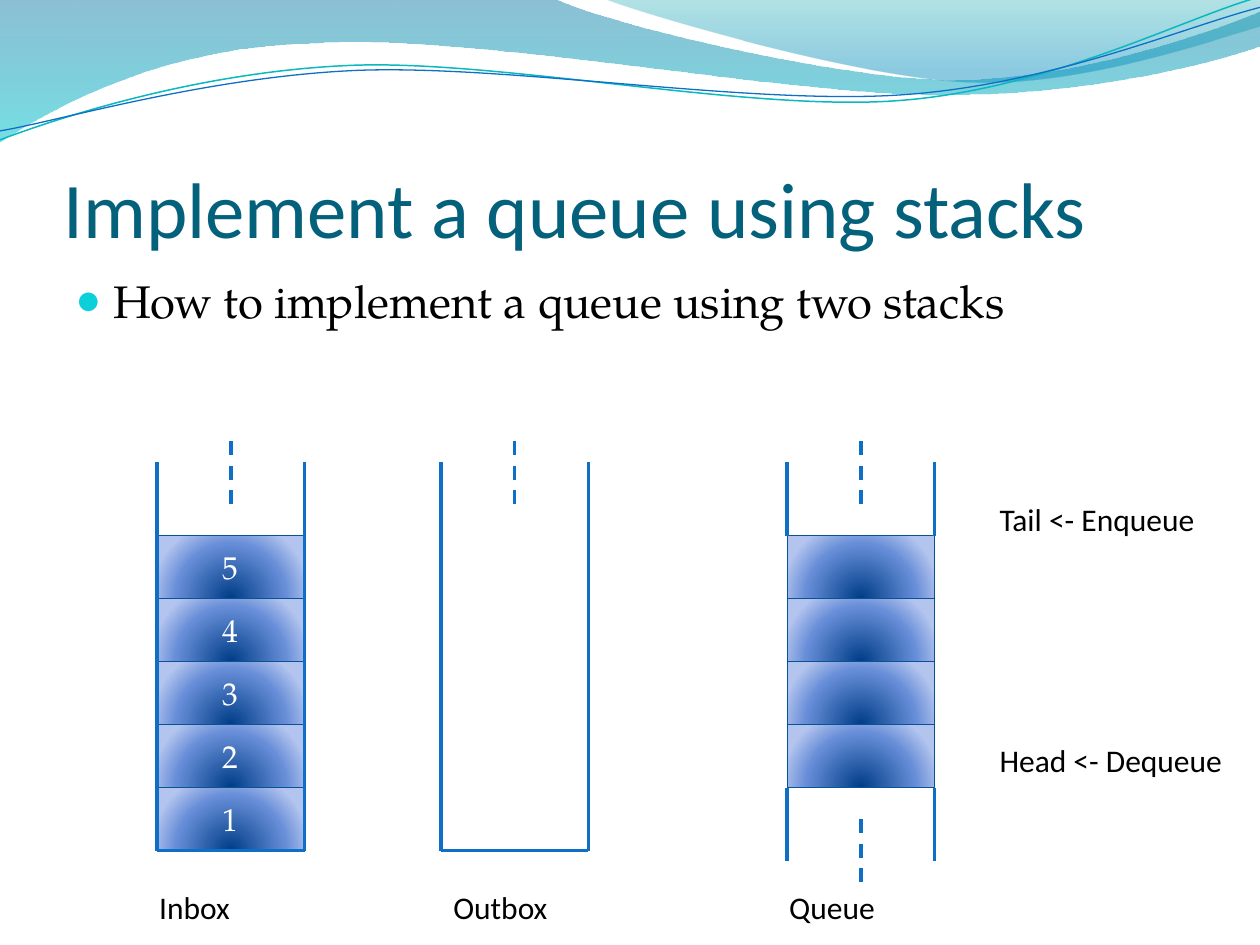
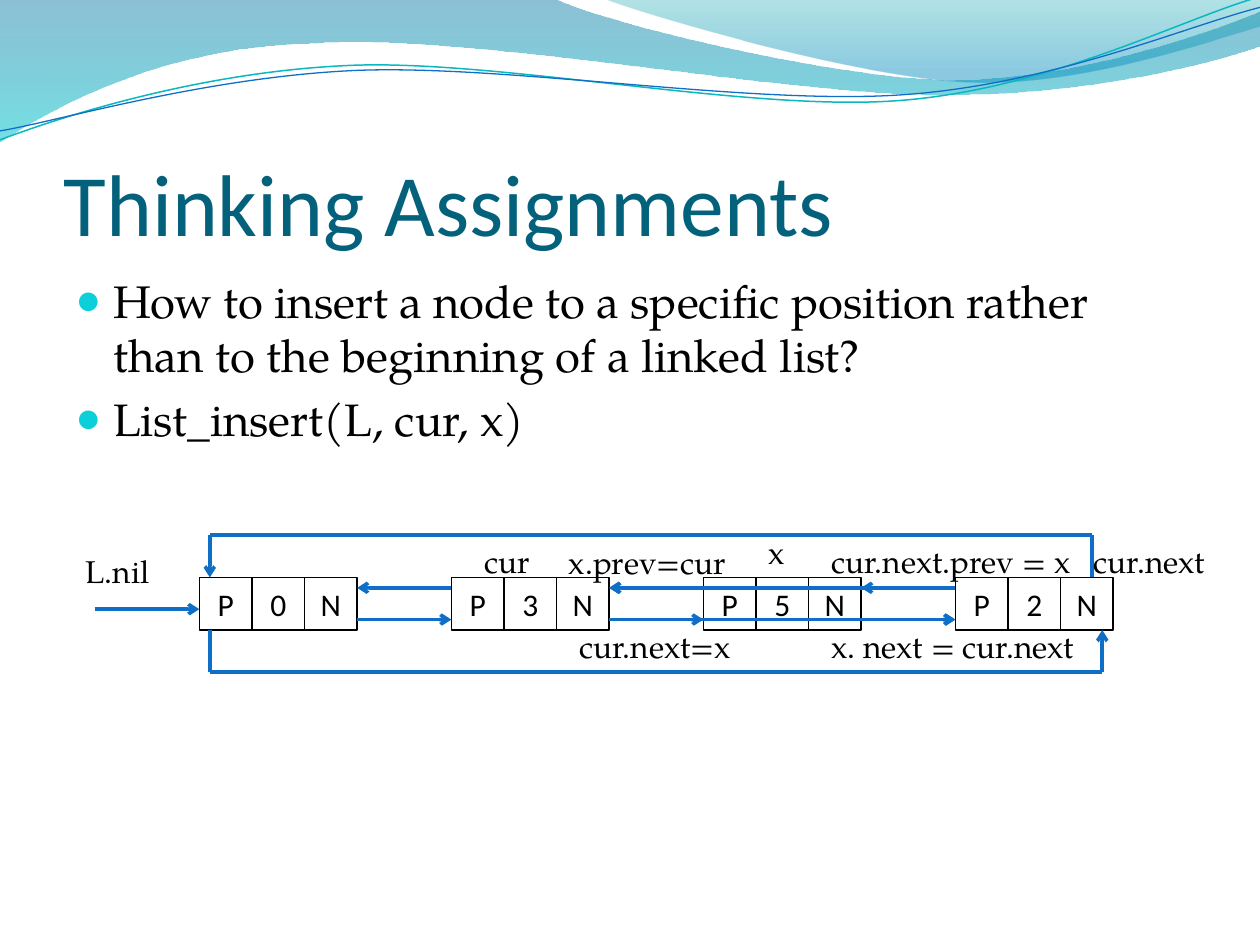
from pptx import Presentation
from pptx.dml.color import RGBColor
from pptx.enum.dml import MSO_LINE
from pptx.enum.shapes import MSO_CONNECTOR, MSO_SHAPE
from pptx.enum.text import MSO_ANCHOR, PP_ALIGN
from pptx.oxml import parse_xml
from pptx.oxml.ns import nsdecls, qn
from pptx.util import Cm, Pt

rgb = RGBColor.from_string
NS = nsdecls("a")
SANS, SERIF = "Calibri", "TeX Gyre Pagella"
BLACK, WHITE, TITLE = "000000", "FFFFFF", "04617B"
BLUE, TEAL, BLOCK_EDGE = "0F6FC6", "0AB8BF", "095295"

BULLET = (
    f'<a:buClr {NS}><a:srgbClr val="0BD0D9"/></a:buClr>',
    f'<a:buSzPct {NS} val="95000"/>',
    f'<a:buFont {NS} typeface="Arial"/>',
    f'<a:buChar {NS} char="●"/>',
)
BLOCK_GRADIENT = f"""<a:gradFill {NS}><a:gsLst>
<a:gs pos="0"><a:srgbClr val="003D87"/></a:gs>
<a:gs pos="68000"><a:srgbClr val="668DD7"/></a:gs>
<a:gs pos="100000"><a:srgbClr val="B3C4EF"/></a:gs></a:gsLst>
<a:path path="circle"><a:fillToRect l="50000" t="130000" r="50000" b="-30000"/></a:path>
</a:gradFill>"""

# Waves in cm: start, then segments of one point (line) or three points (Bézier curve);
# gradient stops are (position %, colour, opacity %)
BANDS = [
    ([(0, 0), [(11.18, -0.03)],
      [(12.09, 0.43), (16.87, 1.6), (19.25, 1.6)],
      [(21.67, 1.6), (24.33, 0.66), (25.4, 0.23)], [(25.43, 0.91)],
      [(24.97, 1.12), (22.1, 1.93), (18.95, 1.91)],
      [(15.75, 1.91), (9.7, 0.71), (6.53, 0.86)],
      [(3.28, 0.91), (1.17, 2.11), (-0.03, 2.87)], [(0, 0)]],
     [(0, "0074A1", 45), (100, "00C6CF", 55)], None),
    ([(12.17, -0.03),
      [(12.93, 0.28), (17.32, 1.57), (19.53, 1.65)],
      [(21.74, 1.75), (24.41, 0.81), (25.4, 0.53)], [(25.4, 0)], [(12.17, -0.03)]],
     [(0, "00A1A9", 30), (80, "008BBF", 45)], None),
    ([(0, 2.82),
      [(1.22, 2.36), (4.01, 1.45), (7.04, 1.32)],
      [(10.03, 1.19), (15.06, 2.26), (18.11, 2.03)],
      [(21.16, 1.8), (23.83, 0.38), (25.35, -0.05)]],
     None, (TEAL, 0.85)),
    ([(0, 2.64),
      [(1.19, 2.44), (4.17, 1.55), (7.19, 1.42)],
      [(10.24, 1.3), (15.16, 2.13), (18.21, 1.91)],
      [(21.23, 1.7), (23.9, 0.53), (25.4, 0.15)]],
     None, (BLUE, 0.75)),
]


def write(frame, text, size, font, color=BLACK, align=PP_ALIGN.LEFT):
    frame.word_wrap = True
    frame.text = text
    for paragraph in frame.paragraphs:
        paragraph.alignment = align
        for run in paragraph.runs:
            run.font.size = Pt(size)
            run.font.name = font
            run.font.color.rgb = rgb(color)


def draw_line(slide, x1, y1, x2, y2, dashed=False, arrow=False):
    line = slide.shapes.add_connector(MSO_CONNECTOR.STRAIGHT, Cm(x1), Cm(y1), Cm(x2), Cm(y2))
    line.line.color.rgb = rgb(BLUE)
    line.line.width = Pt(2)
    if dashed:
        line.line.dash_style = MSO_LINE.DASH
    properties = line._element.spPr
    if arrow:
        properties.find(qn("a:ln")).append(parse_xml(f'<a:tailEnd {NS} type="arrow"/>'))
    properties.append(parse_xml(f"<a:effectLst {NS}/>"))


prs = Presentation()
prs.slide_width, prs.slide_height = Cm(25.4), Cm(19.05)

# Waves, title and bullets of every slide
slides = []
for title, title_size, points in [
    ("Implement a queue using stacks", 45, "How to implement a queue using two stacks"),
    ("Thinking Assignments", 50,
     "How to insert a node to a specific position rather than to the beginning of a "
     "linked list?\nList_insert(L, cur, x)"),
]:
    slide = prs.slides.add_slide(prs.slide_layouts[6])
    slides.append(slide)

    for (start, *segments), stops, stroke in BANDS:
        builder = slide.shapes.build_freeform(Cm(start[0]), Cm(start[1]))
        builder.add_line_segments(
            [(Cm(x), Cm(y)) for segment in segments for x, y in segment], close=bool(stops))
        wave = builder.convert_to_shape()
        properties = wave._element.spPr

        # Merge the three points of each curve into one Bézier segment
        outline = next(properties.iter(qn("a:lnTo"))).getparent()
        steps = iter(outline.findall(qn("a:lnTo")))
        for segment in segments:
            curve = next(steps)
            if len(segment) == 3:
                curve.tag = qn("a:cubicBezTo")
                for _ in range(2):
                    step = next(steps)
                    curve.append(step[0])
                    outline.remove(step)

        wave.shadow.inherit = False
        wave.fill.background()
        if stops:
            wave.line.fill.background()
            stop_xml = "".join(
                f'<a:gs pos="{pos * 1000}"><a:srgbClr val="{color}">'
                f'<a:alpha val="{opacity * 1000}"/></a:srgbClr></a:gs>'
                for pos, color, opacity in stops)
            properties.replace(properties.find(qn("a:noFill")), parse_xml(
                f'<a:gradFill {NS}><a:gsLst>{stop_xml}</a:gsLst>'
                f'<a:lin ang="5400000" scaled="0"/></a:gradFill>'))
        else:
            wave.line.color.rgb = rgb(stroke[0])
            wave.line.width = Pt(stroke[1])

    heading = slide.shapes.add_textbox(Cm(1.28), Cm(1.94), Cm(22.86), Cm(3.18)).text_frame
    heading.margin_left = heading.margin_right = heading.margin_bottom = 0
    heading.vertical_anchor = MSO_ANCHOR.BOTTOM
    write(heading, title, title_size, SANS, TITLE)

    body = slide.shapes.add_textbox(Cm(1.27), Cm(5.37), Cm(22.86), Cm(12.19)).text_frame
    write(body, points, 26, SERIF)
    for index, paragraph in enumerate(body.paragraphs):
        layout = paragraph._p.get_or_add_pPr()
        layout.set("marL", str(Cm(0.76)))
        layout.set("indent", str(Cm(-0.76)))
        for element in BULLET:
            layout.append(parse_xml(element))
        if index:
            paragraph.space_before = Pt(5.2)

queue_slide, list_slide = slides

# Inbox and outbox stacks beside the queue
INBOX, OUTBOX, QUEUE = 3.17, 8.89, 15.87
BIN_W, BLOCK_H = 2.97, 1.27
RIM, STACK_TOP, FLOOR = 9.31, 10.8, 17.15
QUEUE_HEAD = STACK_TOP + 4 * BLOCK_H

for left, numbers in [(INBOX, "54321"), (QUEUE, [""] * 4)]:
    for row, number in enumerate(numbers):
        block = queue_slide.shapes.add_shape(
            MSO_SHAPE.RECTANGLE, Cm(left), Cm(STACK_TOP + row * BLOCK_H), Cm(BIN_W), Cm(BLOCK_H))
        block.shadow.inherit = False
        block.fill.background()
        properties = block._element.spPr
        properties.replace(properties.find(qn("a:noFill")), parse_xml(BLOCK_GRADIENT))
        block.line.color.rgb = rgb(BLOCK_EDGE)
        block.line.width = Pt(0.75)
        if number:
            write(block.text_frame, number, 18, SERIF, WHITE, PP_ALIGN.CENTER)

for left, wall_end in [(INBOX, FLOOR), (OUTBOX, FLOOR), (QUEUE, STACK_TOP)]:
    for wall in (left, left + BIN_W):
        draw_line(queue_slide, wall, wall_end, wall, RIM)
    draw_line(queue_slide, left + BIN_W / 2, 8.89, left + BIN_W / 2, 10.16, dashed=True)
for left in (INBOX, OUTBOX):
    draw_line(queue_slide, left + BIN_W, FLOOR, left, FLOOR)
for wall in (QUEUE, QUEUE + BIN_W):
    draw_line(queue_slide, wall, 17.35, wall, QUEUE_HEAD)
draw_line(queue_slide, QUEUE + BIN_W / 2, 16.51, QUEUE + BIN_W / 2, 17.78, dashed=True)

# Circular doubly linked list
CELL, NODE_PITCH = 1.06, 5.08
FIRST_NODE, NODE_TOP = 4.02, 11.64
NODE_W, NODE_BOTTOM = 3 * CELL, NODE_TOP + CELL
PREV_Y, NEXT_Y = 11.85, 12.49
node_lefts = [FIRST_NODE + i * NODE_PITCH for i in range(4)]

for left, key in zip(node_lefts, "0352"):
    for column, content in enumerate(["P", key, "N"]):
        cell = list_slide.shapes.add_shape(
            MSO_SHAPE.RECTANGLE, Cm(left + column * CELL), Cm(NODE_TOP), Cm(CELL), Cm(CELL))
        cell.shadow.inherit = False
        cell.fill.background()
        cell.line.color.rgb = rgb(BLACK)
        cell.line.width = Pt(0.75)
        write(cell.text_frame, content, 18, SANS, align=PP_ALIGN.CENTER)

# Neighbouring nodes, then the link that skips the new node x
for before, after in [(0, 1), (1, 2), (2, 3), (1, 3)]:
    gap_left, gap_right = node_lefts[before] + NODE_W, node_lefts[after]
    draw_line(list_slide, gap_right, PREV_Y, gap_left, PREV_Y, arrow=True)
    draw_line(list_slide, gap_left, NEXT_Y, gap_right, NEXT_Y, arrow=True)
draw_line(list_slide, 1.91, 12.28, FIRST_NODE, 12.28, arrow=True)

# Wrap-around links above and below the nodes
for from_x, to_x, node_edge, rail in [
    (22.01, 4.23, NODE_TOP, 10.79),
    (4.23, 22.22, NODE_BOTTOM, 13.55),
]:
    draw_line(list_slide, from_x, node_edge, from_x, rail)
    draw_line(list_slide, from_x, rail, to_x, rail)
    draw_line(list_slide, to_x, rail, to_x, node_edge, arrow=True)

# Labels: text, left, top, width
QUEUE_LABELS = [
    ("Inbox", 2.96, 17.78, 3.39),
    ("Outbox", 8.89, 17.78, 3.39),
    ("Queue", 15.66, 17.78, 3.39),
    ("Head <- Dequeue", 19.9, 14.82, 5.08),
    ("Tail <- Enqueue", 19.9, 9.95, 4.87),
]
LIST_LABELS = [
    ("L.nil", 1.48, 11.01, 2.12),
    ("x", 15.24, 10.62, 1.06),
    ("cur.next=x", 11.43, 12.51, 3.81),
    ("x. next = cur.next", 16.51, 12.51, 6.14),
    ("cur.next.prev = x", 16.51, 10.8, 5.5),
    ("x.prev=cur", 11.22, 10.82, 3.81),
    ("cur", 9.52, 10.8, 1.69),
    ("cur.next", 21.8, 10.8, 2.96),
]
for slide, font, labels in [(queue_slide, SANS, QUEUE_LABELS), (list_slide, SERIF, LIST_LABELS)]:
    for text, left, top, width in labels:
        label = slide.shapes.add_textbox(Cm(left), Cm(top), Cm(width), Cm(1.02))
        write(label.text_frame, text, 18, font)

prs.save("out.pptx")
